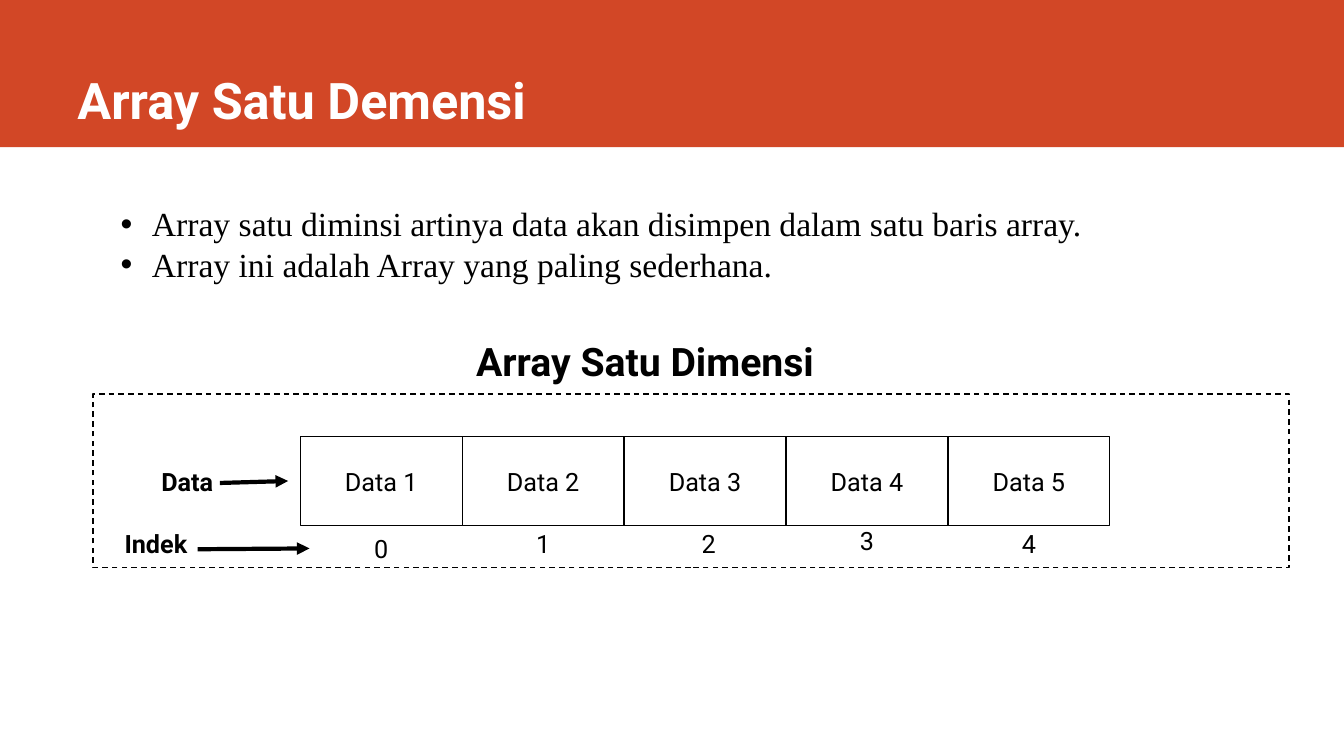
from lxml import etree
from pptx import Presentation
from pptx import util as u
from pptx.dml.color import RGBColor
from pptx.enum import dml, shapes, text
from pptx.oxml.ns import qn

COLORS = {"banner": "D24726", "white": "FFFFFF", "ink": "000000"}
SANS, SERIF = "Roboto", "Times New Roman"

# Boxes are left, top, width, height in centimetres.
TITLE = ("Array Satu Demensi", (1.7, 0, 29.85, 3.4))
BULLETS = [
    "Array satu diminsi artinya data akan disimpen dalam satu baris array.",
    "Array ini adalah Array yang paling sederhana.",
]
BULLET_BOX = (2.79, 5, 25.53, 2.31)
BULLET_INDENT = 0.79
BANNER = (0, 0, 33.87, 3.71)
FRAME = (2.34, 9.93, 30.15, 4.37)
HEADING = ("Array Satu Dimensi", (11.3, 8.38, 9.91, 1.45))

CELLS = ["Data 1", "Data 2", "Data 3", "Data 4", "Data 5"]
ROW_LEFT, ROW_TOP, CELL_W, CELL_H = 7.57, 11, 4.08, 2.24
# Index, shift from the cell's centre, top
INDEXES = [("0", 0, 13.31), ("1", 0, 13.18), ("2", 0.09, 13.18),
           ("3", 0, 13.11), ("4", 0, 13.18)]
INDEX_W, LABEL_W, LABEL_H = 1.88, 2.84, 1.02
ROW_LABELS = [("Data", 3.3, 11.61), ("Indek", 2.51, 13.18)]
ARROWS = [(5.54, 12.17, 7.26, 12.12), (4.98, 13.84, 7.8, 13.82)]


def rgb(name):
    return RGBColor.from_string(COLORS[name])


def cm(values):
    return [u.Cm(value) for value in values]


def add_span(para, words, size, font=SANS, bold=False, color="ink"):
    span = para.add_run()
    span.text = words
    span.font.size = u.Pt(size)
    span.font.name = font
    span.font.bold = bold
    span.font.color.rgb = rgb(color)


def add_rect(page, place, fill="white", outlined=True):
    rect = page.shapes.add_shape(shapes.MSO_SHAPE.RECTANGLE, *cm(place))
    rect.shadow.inherit = False
    rect.fill.solid()
    rect.fill.fore_color.rgb = rgb(fill)
    if outlined:
        rect.line.color.rgb = rgb("ink")
        rect.line.width = u.Pt(1)
    else:
        rect.line.fill.background()
    return rect


def add_box(page, place, anchor=text.MSO_ANCHOR.MIDDLE):
    box = page.shapes.add_textbox(*cm(place))
    box.text_frame.word_wrap = True
    box.text_frame.vertical_anchor = anchor
    return box


def write_centred(box, words, size=18, bold=False):
    para = box.text_frame.paragraphs[0]
    para.alignment = text.PP_ALIGN.CENTER
    add_span(para, words, size, bold=bold)


def add_bullet(para):
    props = para._p.get_or_add_pPr()
    indent = u.Cm(BULLET_INDENT)
    props.set("marL", str(indent))
    props.set("indent", str(-indent))
    etree.SubElement(props, qn("a:buFont")).set("typeface", "Arial")
    etree.SubElement(props, qn("a:buChar")).set("char", "•")


def add_arrow(page, ends):
    arrow = page.shapes.add_connector(shapes.MSO_CONNECTOR.STRAIGHT, *cm(ends))
    arrow.line.color.rgb = rgb("ink")
    arrow.line.width = u.Pt(3)
    etree.SubElement(arrow.line._get_or_add_ln(), qn("a:tailEnd")).set("type", "triangle")
    etree.SubElement(arrow._element.spPr, qn("a:effectLst"))


def add_intro(page):
    """Banner, slide title and bullet list."""
    add_rect(page, BANNER, "banner", outlined=False)
    words, place = TITLE
    title = add_box(page, place, text.MSO_ANCHOR.BOTTOM)
    add_span(title.text_frame.paragraphs[0], words, 36, bold=True, color="white")

    frame = add_box(page, BULLET_BOX, text.MSO_ANCHOR.TOP).text_frame
    for number, words in enumerate(BULLETS):
        para = frame.add_paragraph() if number else frame.paragraphs[0]
        add_bullet(para)
        add_span(para, words, 24, SERIF)


def add_diagram(page):
    """Dashed frame with the row of cells, their indexes and labels."""
    add_rect(page, FRAME).line.dash_style = dml.MSO_LINE.DASH
    for column, (words, (index, shift, top)) in enumerate(zip(CELLS, INDEXES)):
        left = ROW_LEFT + column * CELL_W
        cell = add_rect(page, (left, ROW_TOP, CELL_W, CELL_H))
        cell.text_frame.vertical_anchor = text.MSO_ANCHOR.MIDDLE
        write_centred(cell, words)
        index_left = left + (CELL_W - INDEX_W) / 2 + shift
        write_centred(add_box(page, (index_left, top, INDEX_W, LABEL_H)), index)
    for ends in ARROWS:
        add_arrow(page, ends)
    for words, left, top in ROW_LABELS:
        write_centred(add_box(page, (left, top, LABEL_W, LABEL_H)), words, bold=True)
    words, place = HEADING
    write_centred(add_box(page, place), words, 28, bold=True)


def main():
    deck = Presentation()
    deck.slide_width, deck.slide_height = cm((33.87, 19.05))
    page = deck.slides.add_slide(deck.slide_layouts[6])
    add_intro(page)
    add_diagram(page)
    deck.save("out.pptx")


if __name__ == "__main__":
    main()
